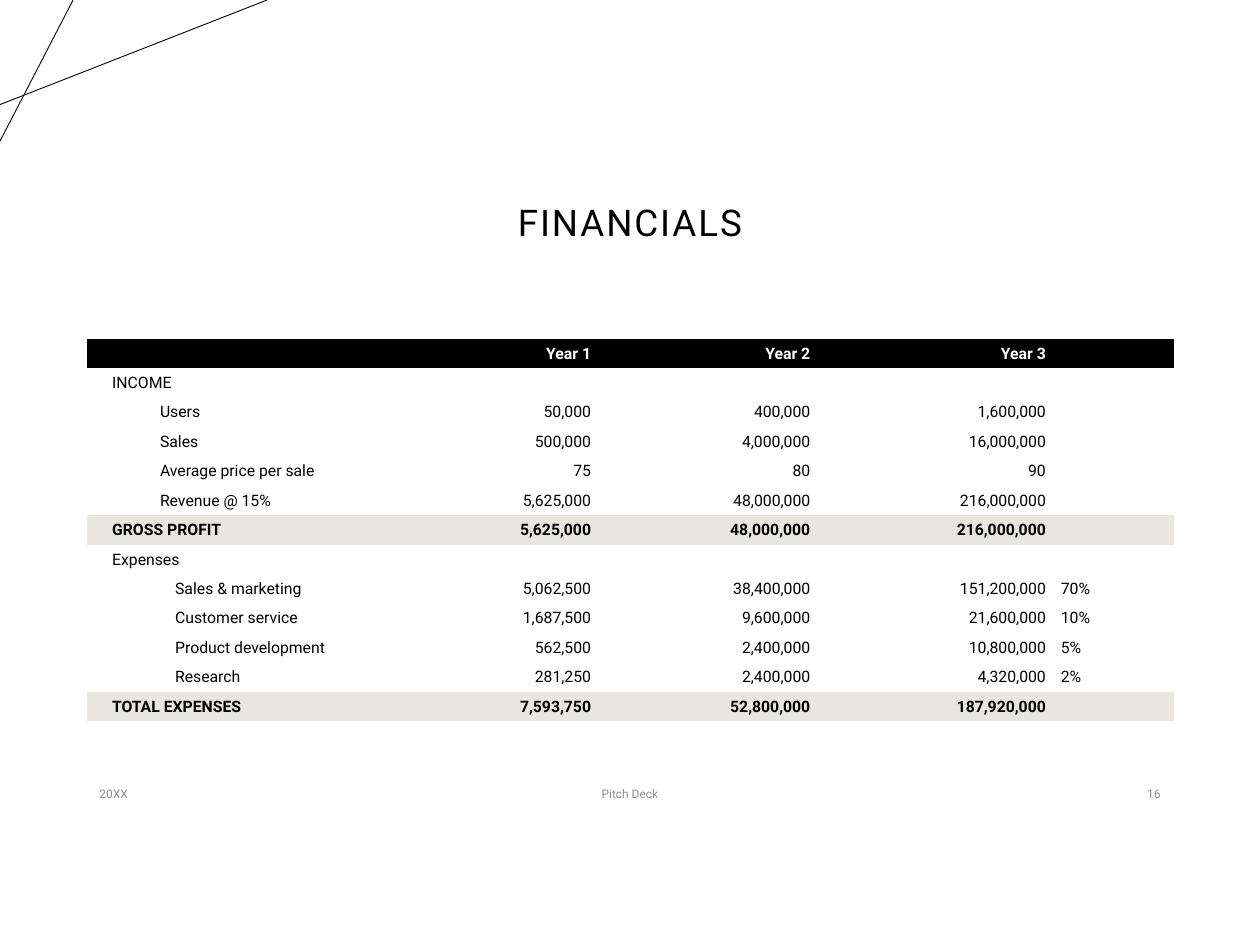
import pptx
import pptx.util
import pptx.dml.color
import pptx.enum.shapes
import pptx.enum.text
import pptx.oxml.ns
import pptx.oxml.xmlchemy

Inches = pptx.util.Inches
Pt = pptx.util.Pt
RGBColor = pptx.dml.color.RGBColor
ALIGN = pptx.enum.text.PP_ALIGN
MIDDLE = pptx.enum.text.MSO_ANCHOR.MIDDLE
qn = pptx.oxml.ns.qn

BLACK = RGBColor(0, 0, 0)
WHITE = RGBColor(255, 255, 255)
SAND = RGBColor(0xE9, 0xE6, 0xDF)
GRAY = RGBColor(0x8C, 0x8C, 0x8C)
FONT = "Roboto"
NO_GRID = "{2D5ABB26-0587-4C30-8999-92F81FD0307C}"

LEFT = 0.69
WIDTH = 8.62
COLS = [2.65, 1.41, 1.74, 1.87, 0.96]
ROWS = [
    ("head", 0, ["", "Year 1", "Year 2", "Year 3", ""]),
    ("plain", 0, ["INCOME", "", "", "", ""]),
    ("plain", 0.38, ["Users", "50,000", "400,000", "1,600,000", ""]),
    ("plain", 0.38, ["Sales", "500,000", "4,000,000", "16,000,000", ""]),
    ("plain", 0.38, ["Average price per sale", "75", "80", "90", ""]),
    ("plain", 0.38, ["Revenue @ 15%", "5,625,000", "48,000,000", "216,000,000", ""]),
    ("total", 0, ["GROSS PROFIT", "5,625,000", "48,000,000", "216,000,000", ""]),
    ("plain", 0, ["Expenses", "", "", "", ""]),
    ("plain", 0.5, ["Sales & marketing", "5,062,500", "38,400,000", "151,200,000", "70%"]),
    ("plain", 0.5, ["Customer service", "1,687,500", "9,600,000", "21,600,000", "10%"]),
    ("plain", 0.5, ["Product development", "562,500", "2,400,000", "10,800,000", "5%"]),
    ("plain", 0.5, ["Research", "281,250", "2,400,000", "4,320,000", "2%"]),
    ("total", 0, ["TOTAL EXPENSES", "7,593,750", "52,800,000", "187,920,000", ""]),
]
FILLS = {"head": BLACK, "total": SAND}


def style(para, size, color, align, bold=False):
    para.alignment = align
    font = para.font
    font.name = FONT
    font.size = Pt(size)
    font.bold = bold
    font.color.rgb = color


def add_line(slide, start, end):
    line = slide.shapes.add_connector(
        pptx.enum.shapes.MSO_CONNECTOR.STRAIGHT,
        *(Inches(v) for v in start + end))
    line.line.color.rgb = BLACK
    line.line.width = Pt(0.5)
    line._element.spPr.append(pptx.oxml.xmlchemy.OxmlElement("a:effectLst"))


def set_title(slide, text):
    title = slide.shapes.title
    title.left, title.top = Inches(LEFT), Inches(1.24)
    title.width, title.height = Inches(WIDTH), Inches(1.09)
    frame = title.text_frame
    frame.text = text
    frame.vertical_anchor = MIDDLE
    para = frame.paragraphs[0]
    style(para, 21, BLACK, ALIGN.CENTER)
    para.line_spacing = 0.9
    para.runs[0]._r.get_or_add_rPr().set("spc", "110")


def fill_cell(cell, text, col, kind, indent):
    cell.text = text
    cell.vertical_anchor = MIDDLE
    cell.margin_left = Inches(0.06 if col else 0.2)
    cell.margin_right = Inches(0.06)
    cell.margin_top = cell.margin_bottom = Inches(0.03)
    if kind in FILLS:
        cell.fill.solid()
        cell.fill.fore_color.rgb = FILLS[kind]
    else:
        cell.fill.background()
    para = cell.text_frame.paragraphs[0]
    style(para, 9, WHITE if kind == "head" else BLACK,
          ALIGN.RIGHT if 1 <= col <= 3 else ALIGN.LEFT, kind in FILLS)
    if indent and col == 0:
        props = para._p.get_or_add_pPr()
        props.set("marL", str(Inches(indent)))
        props.set("indent", "0")


def add_grid(slide):
    table = slide.shapes.add_table(
        len(ROWS), len(COLS), Inches(LEFT), Inches(2.69),
        Inches(WIDTH), Inches(3.04)).table
    table.first_row = table.horz_banding = False
    table._tbl.tblPr.find(qn("a:tableStyleId")).text = NO_GRID
    for col, width in enumerate(COLS):
        table.columns[col].width = Inches(width)
    for row, (kind, indent, texts) in enumerate(ROWS):
        for col, text in enumerate(texts):
            fill_cell(table.cell(row, col), text, col, kind, indent)


def add_note(slide, text, left, width, align):
    box = slide.shapes.add_textbox(
        Inches(left), Inches(6.15), Inches(width), Inches(0.3))
    frame = box.text_frame
    frame.word_wrap = True
    frame.vertical_anchor = MIDDLE
    frame.text = text
    style(frame.paragraphs[0], 6.8, GRAY, align)


def main():
    deck = pptx.Presentation()
    deck.slide_width, deck.slide_height = Inches(10), Inches(7.5)
    slide = deck.slides.add_slide(deck.slide_layouts[5])
    add_line(slide, (0, 0.83), (2.12, 0))
    add_line(slide, (0.58, 0), (0, 1.12))
    set_title(slide, "FINANCIALS")
    add_grid(slide)
    add_note(slide, "20XX", LEFT, 2.25, ALIGN.LEFT)
    add_note(slide, "Pitch Deck", 3.31, 3.38, ALIGN.CENTER)
    add_note(slide, "16", 7.06, 2.25, ALIGN.RIGHT)
    deck.save("out.pptx")


if __name__ == "__main__":
    main()
